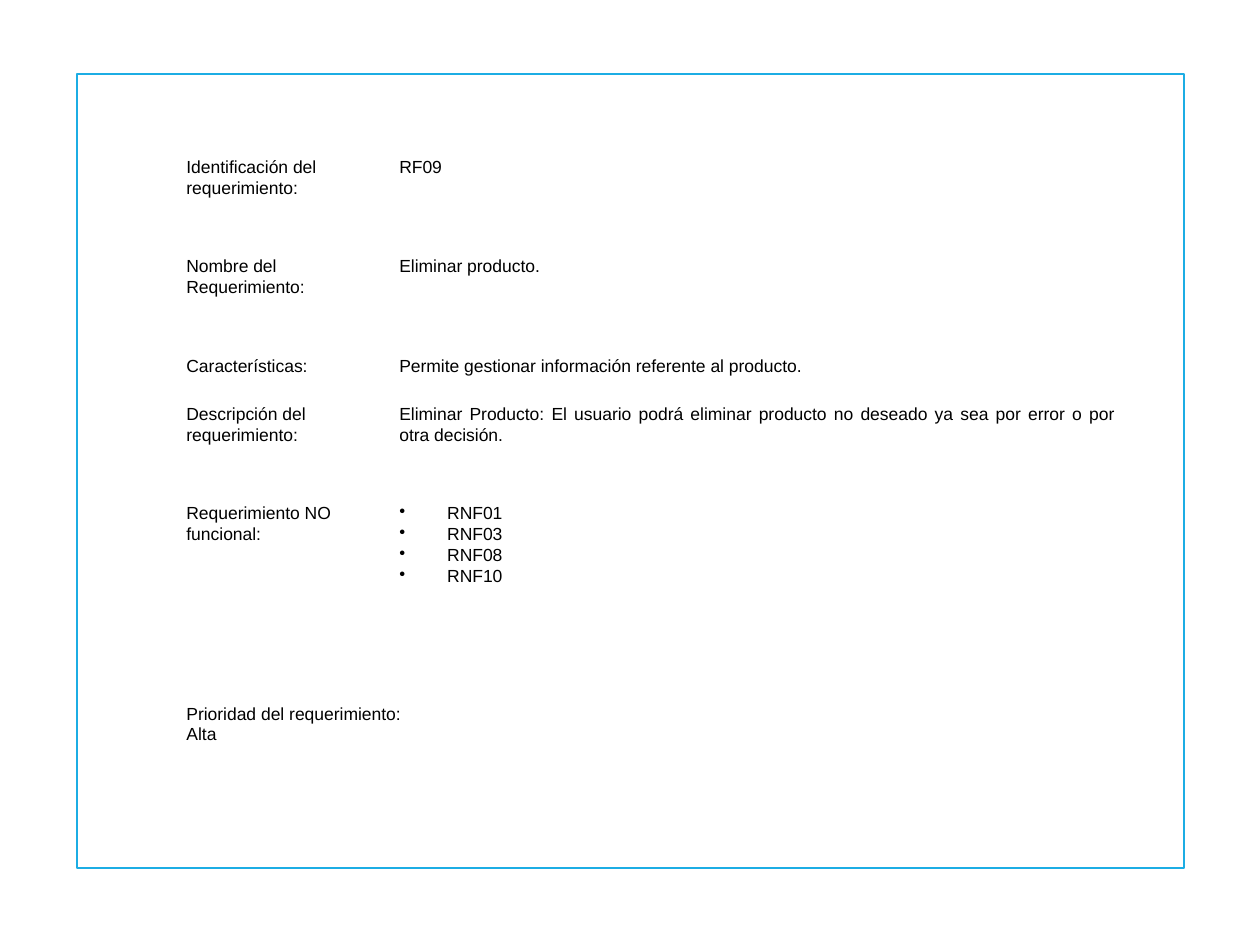
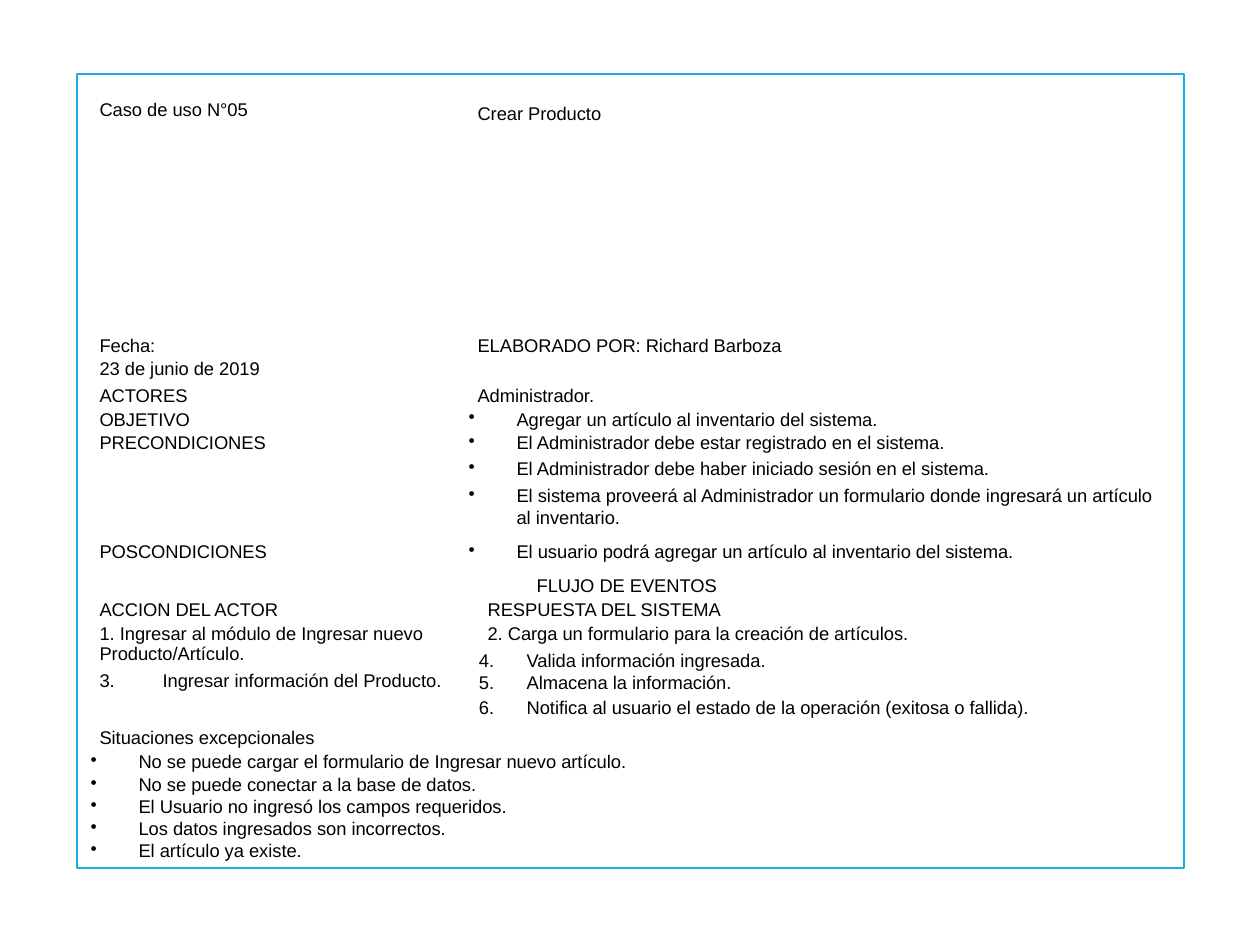
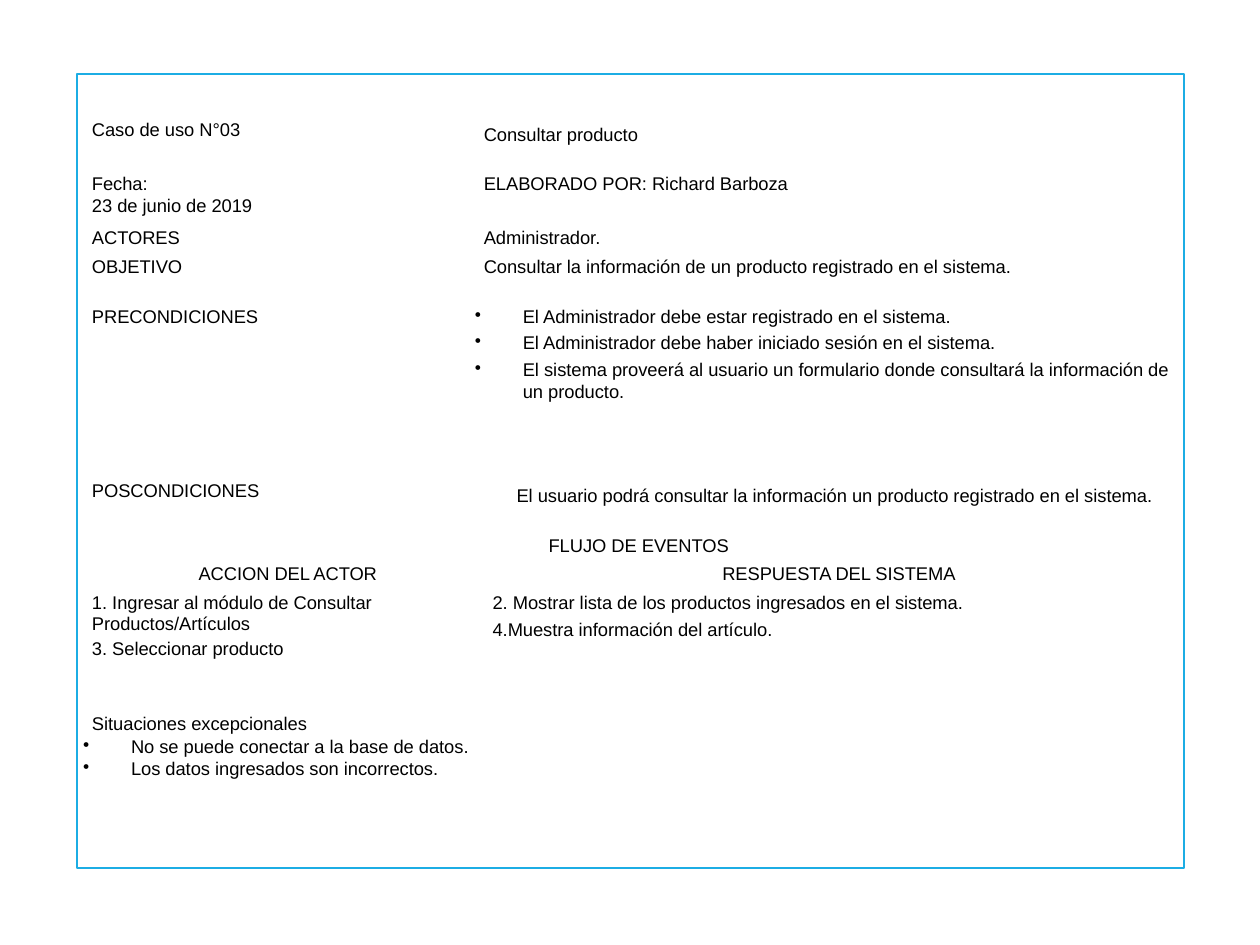
from dataclasses import dataclass
from typing import Optional

from lxml.etree import SubElement
from pptx import Presentation
from pptx.dml.color import RGBColor
from pptx.enum.shapes import MSO_SHAPE
from pptx.enum.text import PP_ALIGN
from pptx.oxml.ns import qn
from pptx.util import Inches, Pt

COLORS = {"frame": "1CADE4", "text": "000000"}
FONT = "Arial"
PLAIN_TABLE_STYLE = "{2D5ABB26-0587-4C30-8999-92F81FD0307C}"
BULLET = "•"
HANGING = 0.38


@dataclass
class Line:
    """One paragraph of a table cell; marker is a bullet or a first number."""
    text: str
    before: float = 2.1
    left: float = 0.07
    spacing: object = None
    after: float = 0
    align: PP_ALIGN = PP_ALIGN.LEFT
    marker: object = None
    tab: Optional[float] = None


# Kinds of paragraph
def item(text, before=2.2, marker=BULLET, **options):
    return Line(text, before, HANGING, marker=marker, **options)


def centered(text):
    return Line(text, align=PP_ALIGN.CENTER)


def field(label, *values, marker=None):
    """A requirement row: label on the left, justified values on the right."""
    left = HANGING if marker else 0
    return [
        [Line(label, 0, 0, 1.07)],
        [Line(value, 0, left, 1.07, align=PP_ALIGN.JUSTIFY, marker=marker)
         for value in values],
    ]


def case_row(label, *lines):
    """A use case row: label, then a cell over the two other columns."""
    return [[Line(label)], list(lines), None]


def case_header(number, name, actor):
    return [
        case_row(f"Caso de uso N°{number}", name),
        [[Line("Fecha:"), Line("23 de junio de 2019", 1.1)],
         [Line("ELABORADO POR: Richard Barboza", 9.4)], None],
        case_row("ACTORES", Line(actor)),
    ]


def event_flow(headings, actions, responses, exceptions):
    return [
        [[centered("FLUJO DE EVENTOS")], None, None],
        [[headings("ACCION DEL ACTOR")], None, [headings("RESPUESTA DEL SISTEMA")]],
        [actions, None, responses],
        [[Line("Situaciones excepcionales"), *exceptions], None, None],
    ]


# Drawing
def add_frame(slide):
    frame = slide.shapes.add_shape(
        MSO_SHAPE.RECTANGLE, Inches(0.61), Inches(0.59), Inches(8.79), Inches(6.3))
    frame.shadow.inherit = False
    frame.fill.background()
    frame.line.color.rgb = RGBColor.from_string(COLORS["frame"])
    frame.line.width = Pt(1.25)


def add_marker(properties, marker):
    properties.set("indent", str(-Inches(HANGING)))
    color = SubElement(properties, qn("a:buClr"))
    SubElement(color, qn("a:srgbClr")).set("val", COLORS["text"])
    if marker == BULLET:
        SubElement(properties, qn("a:buChar")).set("char", BULLET)
    else:
        numbering = SubElement(properties, qn("a:buAutoNum"))
        numbering.set("type", "arabicPeriod")
        numbering.set("startAt", str(marker))


def write_line(paragraph, line, size):
    paragraph.alignment = line.align
    paragraph.space_before = Pt(line.before)
    paragraph.space_after = Pt(line.after)
    if line.spacing:
        paragraph.line_spacing = line.spacing
    properties = paragraph._p.get_or_add_pPr()
    properties.set("marL", str(Inches(line.left)))
    properties.set("indent", "0")
    if line.marker:
        add_marker(properties, line.marker)
    if line.tab:
        tab = SubElement(SubElement(properties, qn("a:tabLst")), qn("a:tab"))
        tab.set("pos", str(Inches(line.tab)))
        tab.set("algn", "l")
    run = paragraph.add_run()
    run.text = line.text
    run.font.name = FONT
    run.font.size = Pt(size)
    run.font.color.rgb = RGBColor.from_string(COLORS["text"])


def fill_cell(cell, lines, size, side_margin):
    cell.fill.background()
    cell.margin_left = cell.margin_right = Inches(side_margin)
    cell.margin_top = cell.margin_bottom = 0
    frame = cell.text_frame
    if lines is None:
        end = SubElement(frame.paragraphs[0]._p, qn("a:endParaRPr"))
        end.set("sz", str(int(size * 100)))
        return
    for index, line in enumerate(lines):
        paragraph = frame.add_paragraph() if index else frame.paragraphs[0]
        write_line(paragraph, line, size)


def add_grid(slide, left, top, widths, heights, rows, size=10.5, side_margin=0):
    """Draw a table; a cell given as None belongs to the cell on its left."""
    shape = slide.shapes.add_table(
        len(heights), len(widths), Inches(left), Inches(top),
        Inches(sum(widths)), Inches(sum(heights)))
    table = shape.table
    table.first_row = table.horz_banding = False
    table._tbl.tblPr.find(qn("a:tableStyleId")).text = PLAIN_TABLE_STYLE
    for column, width in zip(table.columns, widths):
        column.width = Inches(width)
    for row, height in zip(table.rows, heights):
        row.height = Inches(height)
    for r, cells in enumerate(rows):
        for c, lines in enumerate(cells):
            fill_cell(table.cell(r, c), lines, size, side_margin)
        starts = [c for c, lines in enumerate(cells) if lines is not None]
        for start, end in zip(starts, starts[1:] + [len(cells)]):
            if end - start > 1:
                table.cell(r, start).merge(table.cell(r, end - 1))


# Slides
def add_delete_requirement(slide):
    rows = [
        field("Identificación del requerimiento:", "RF09"),
        field("Nombre del Requerimiento:", "Eliminar producto."),
        field("Características:", "Permite gestionar información referente al producto."),
        field("Descripción del requerimiento:",
              "Eliminar Producto: El usuario podrá eliminar producto no deseado "
              "ya sea por error o por otra decisión."),
        field("Requerimiento NO funcional:",
              "RNF01", "RNF03", "RNF08", "RNF10", marker=BULLET),
        [[Line("Prioridad del requerimiento:", 0, 0, 1.07),
          Line("Alta", 0, 0, 1.07, after=8)], None],
    ]
    add_grid(slide, 1.41, 1.24, [1.69, 5.81], [0.79, 0.79, 0.38, 0.79, 1.59, 0.79],
             rows, size=10, side_margin=0.07)


def add_create_case(slide):
    rows = [
        *case_header("05", Line("Crear Producto", 1.6, spacing=Pt(14)), "Administrador."),
        case_row("OBJETIVO", item("Agregar un artículo al inventario del sistema.")),
        case_row("PRECONDICIONES",
                 item("El Administrador debe estar registrado en el sistema."),
                 item("El Administrador debe haber iniciado sesión en el sistema.", 3.2),
                 item("El sistema proveerá al Administrador un formulario donde "
                      "ingresará un artículo al inventario.", 2.9, spacing=1.07)),
        case_row("POSCONDICIONES",
                 item("El usuario podrá agregar un artículo al inventario del sistema.")),
        *event_flow(
            Line,
            [Line("1. Ingresar al módulo de Ingresar nuevo Producto/Artículo."),
             Line("3.\tIngresar información del Producto.", spacing=Pt(13.4), tab=0.33)],
            [Line("2. Carga un formulario para la creación de artículos."),
             item("Valida información ingresada.", 2.1, 4, spacing=Pt(13.3)),
             item("Almacena la información.", 1.1, 4),
             item("Notifica al usuario el estado de la operación (exitosa o fallida).",
                  0.5, 4, spacing=Pt(14))],
            [item("No se puede cargar el formulario de Ingresar nuevo artículo."),
             item("No se puede conectar a la base de datos.", 1.1),
             item("El Usuario no ingresó los campos requeridos.", 1.1),
             item("Los datos ingresados son incorrectos.", 1.1),
             item("El artículo ya existe.", 1)]),
    ]
    add_grid(slide, 0.72, 0.79, [3, 0.08, 5.36],
             [1.88, 0.39, 0.19, 0.19, 0.86, 0.27, 0.19, 0.19, 0.83, 1.23], rows)


def add_consult_case(slide):
    rows = [
        *case_header("03", Line("Consultar producto", 1.1, spacing=Pt(14.5)),
                     "Administrador."),
        case_row("OBJETIVO", Line("Consultar la información de un producto "
                                  "registrado en el sistema.")),
        case_row("PRECONDICIONES",
                 item("El Administrador debe estar registrado en el sistema.", 2.4),
                 item("El Administrador debe haber iniciado sesión en el sistema.", 2.9),
                 item("El sistema proveerá al usuario un formulario donde consultará "
                      "la información de un producto.", 2.9, spacing=1.07)),
        case_row("POSCONDICIONES",
                 Line("El usuario podrá consultar la información un producto "
                      "registrado en el sistema.", 1.1, 0.33, Pt(14.5))),
        *event_flow(
            centered,
            [Line("1. Ingresar al módulo de Consultar Productos/Artículos"),
             Line("3. Seleccionar producto", spacing=1.07)],
            [Line("2. Mostrar lista de los productos ingresados en el sistema."),
             Line("4.Muestra información del artículo.", spacing=Pt(13.3))],
            [item("No se puede conectar a la base de datos.", 1.1),
             item("Los datos ingresados son incorrectos.", 0.9)]),
    ]
    add_grid(slide, 0.66, 0.95, [3.11, 0.07, 5.57],
             [0.43, 0.43, 0.23, 0.4, 1.38, 0.43, 0.23, 0.23, 0.96, 1.04], rows)


def main():
    presentation = Presentation()
    presentation.slide_width = Inches(10)
    presentation.slide_height = Inches(7.5)
    for add_content in (add_delete_requirement, add_create_case, add_consult_case):
        slide = presentation.slides.add_slide(presentation.slide_layouts[6])
        add_frame(slide)
        add_content(slide)
    presentation.save("out.pptx")


if __name__ == "__main__":
    main()
